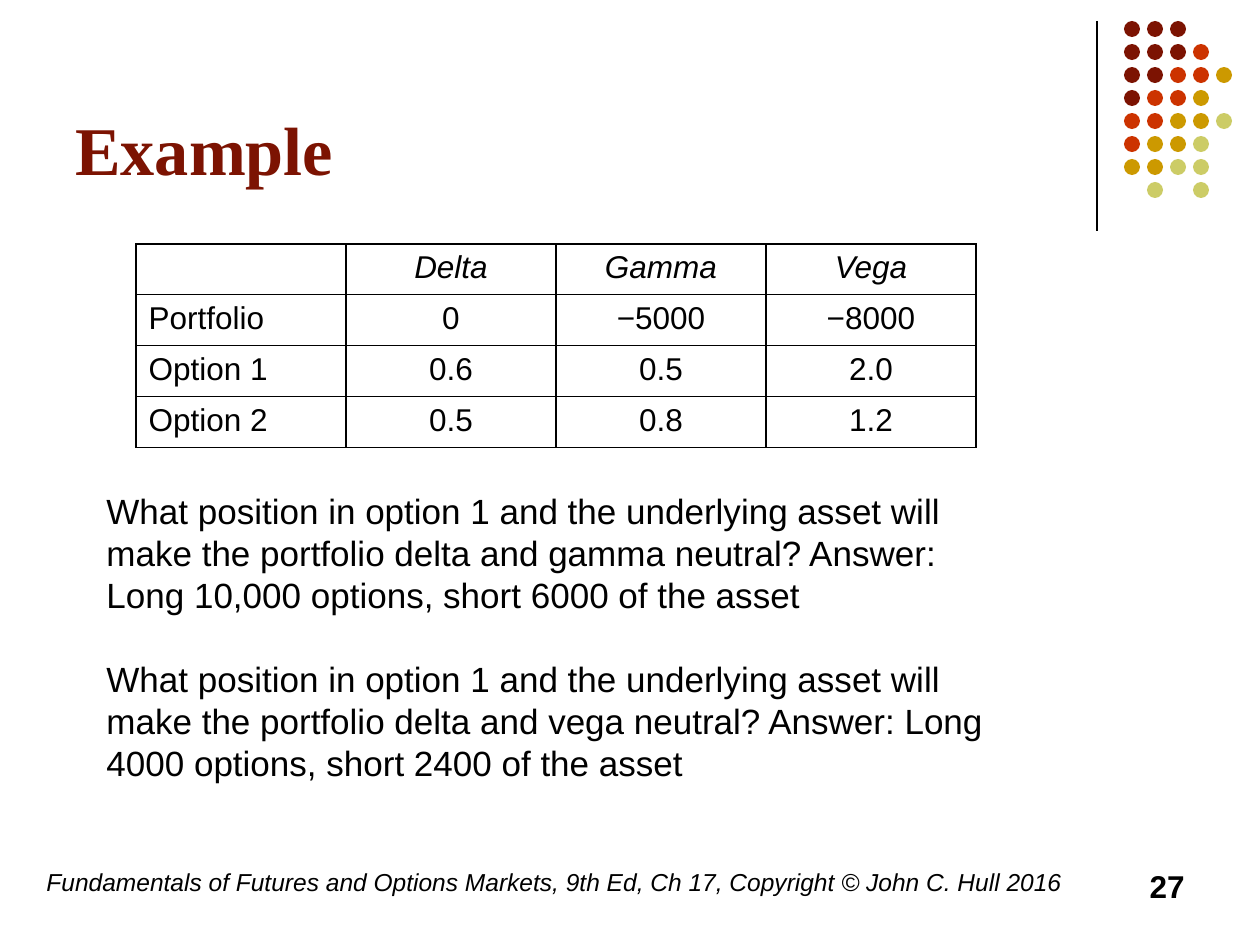
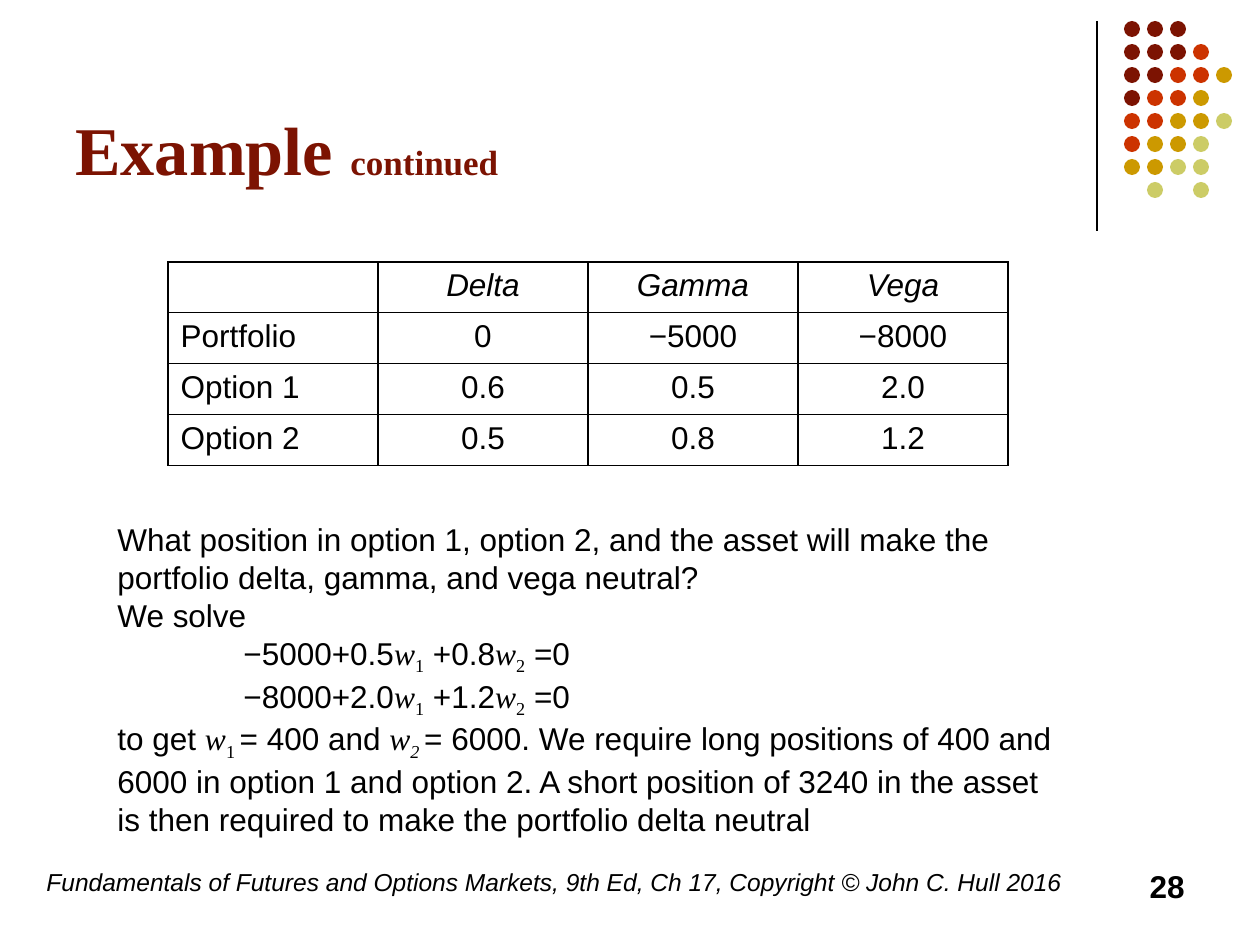
from lxml import etree
from pptx import Presentation
from pptx import util as u
from pptx.dml.color import RGBColor
from pptx.enum import shapes, text
from pptx.oxml import ns

PX = 914400 / 126
SANS, SERIF = "Arial", "Times New Roman"
COLORS = {"ink": "000000", "maroon": "7C1302", "red": "CC3300",
          "gold": "CC9900", "lime": "CCCC66"}
DOT_KEYS = {"m": "maroon", "r": "red", "g": "gold", "l": "lime"}
DOT_ROWS = ["mmm", "mmmr", "mmrrg", "mrrg", "rrggl", "rggl", "ggll", " l l"]
DOT_PITCH, DOT_SIZE = 23, 16
COL_WIDTH, ROW_HEIGHTS = 210, [50, 51, 51, 51]
GREEKS = [
    ["", "Delta", "Gamma", "Vega"],
    ["Portfolio", "0", "−5000", "−8000"],
    ["Option 1", "0.6", "0.5", "2.0"],
    ["Option 2", "0.5", "0.8", "1.2"],
]
FOOTER = ("Fundamentals of Futures and Options Markets, 9th Ed, Ch 17, "
          "Copyright © John C. Hull 2016")
WEIGHT = dict(font=SERIF, italic=True)
SUB = dict(font=SERIF, baseline=-25000)


def px(n):
    return u.Emu(round(n * PX))


def rgb(name):
    return RGBColor.from_string(COLORS[name])


def equation(start, middle):
    """Runs of an equation in w1 and w2 that equals zero."""
    return [(start, {}), ("w", WEIGHT), ("1", SUB),
            (f" {middle}", {}), ("w", WEIGHT), ("2", SUB), (" =0", {})]


class Deck:
    def __init__(self):
        self.prs = Presentation()
        self.prs.slide_width, self.prs.slide_height = px(1260), px(945)
        self.s = None

    def new_slide(self, title_runs, number):
        self.s = self.prs.slides.add_slide(self.prs.slide_layouts[6])
        self.rule(1097, 21, 231)
        self.dots(1124, 21)
        self.text((63, 16, 1040, 179), [title_runs], size=39, font=SERIF,
                  color="maroon", bold=True, anchor=text.MSO_ANCHOR.BOTTOM)
        self.text((34, 861, 1042, 63), [[(FOOTER, {})]], size=14, italic=True)
        self.text((903, 861, 294, 63), [[(str(number), {})]], size=18,
                  bold=True, align=text.PP_ALIGN.RIGHT)

    def rule(self, x, top, bottom):
        line = self.s.shapes.add_connector(
            shapes.MSO_CONNECTOR.STRAIGHT, px(x), px(top), px(x), px(bottom))
        line.line.color.rgb = rgb("ink")
        line.line.width = u.Pt(0.75)
        etree.SubElement(line._element.spPr, ns.qn("a:effectLst"))

    def dots(self, left, top):
        group = self.s.shapes.add_group_shape()
        for i, row in enumerate(DOT_ROWS):
            for j, key in enumerate(row):
                if key == " ":
                    continue
                sp = group.shapes.add_shape(
                    shapes.MSO_SHAPE.OVAL, px(left + j * DOT_PITCH),
                    px(top + i * DOT_PITCH), px(DOT_SIZE), px(DOT_SIZE))
                sp.shadow.inherit = False
                sp.fill.solid()
                sp.fill.fore_color.rgb = rgb(DOT_KEYS[key])
                sp.line.fill.background()

    def run(self, p, words, size=18, font=SANS, color="ink", bold=False,
            italic=False, baseline=0):
        r = p.add_run()
        r.text = words
        r.font.size, r.font.name = u.Pt(size), font
        r.font.bold, r.font.italic = bold, italic
        r.font.color.rgb = rgb(color)
        if baseline:
            r._r.get_or_add_rPr().set("baseline", str(baseline))

    def text(self, box, paragraphs, anchor=text.MSO_ANCHOR.TOP,
             align=text.PP_ALIGN.LEFT, gap=0, indents=(), **style):
        """Paragraphs are lists of (words, style changes); indents maps by index."""
        tf = self.s.shapes.add_textbox(*map(px, box)).text_frame
        tf.word_wrap, tf.vertical_anchor = True, anchor
        for i, runs in enumerate(paragraphs):
            p = tf.add_paragraph() if i else tf.paragraphs[0]
            p.alignment = align
            if i and gap:
                p.space_before = u.Pt(gap)
            if i in indents:
                p._p.get_or_add_pPr().set("marL", str(px(126)))
            for words, changes in runs:
                self.run(p, words, **{**style, **changes})

    def table(self, left, top, rows):
        table = self.s.shapes.add_table(
            len(rows), len(rows[0]), px(left), px(top),
            px(COL_WIDTH * len(rows[0])), px(sum(ROW_HEIGHTS))).table
        table.first_row = table.horz_banding = False
        for col in table.columns:
            col.width = px(COL_WIDTH)
        for i, row in enumerate(rows):
            table.rows[i].height = px(ROW_HEIGHTS[i])
            for j, words in enumerate(row):
                cell = table.cell(i, j)
                self.borders(cell)
                cell.fill.background()
                p = cell.text_frame.paragraphs[0]
                p.alignment = text.PP_ALIGN.CENTER if j else text.PP_ALIGN.LEFT
                if words:
                    self.run(p, words, italic=i == 0)

    def borders(self, cell):
        tc_pr = cell._tc.get_or_add_tcPr()
        for side in "LRTB":
            ln = etree.SubElement(tc_pr, ns.qn(f"a:ln{side}"), w=str(u.Pt(1)))
            fill = etree.SubElement(ln, ns.qn("a:solidFill"))
            etree.SubElement(fill, ns.qn("a:srgbClr"), val=COLORS["ink"])


def main():
    deck = Deck()

    deck.new_slide([("Example", {})], 27)
    deck.table(136, 244, GREEKS)
    deck.text((94, 483, 924, 394), [
        [("What position in option 1 and the underlying asset will make the "
          "portfolio delta and gamma neutral? Answer: Long 10,000 options, "
          "short 6000 of the asset", {})],
        [("What position in option 1 and the underlying asset will make the "
          "portfolio delta and vega neutral? Answer: Long 4000 options, "
          "short 2400 of the asset", {})],
    ], size=20, gap=24)

    deck.new_slide([("Example ", {}), ("continued", dict(size=20))], 28)
    deck.table(168, 262, GREEKS)
    deck.text((105, 514, 976, 318), [
        [("What position in option 1, option 2, and the asset will make the "
          "portfolio delta, gamma, and vega neutral?", {})],
        [("We solve", {})],
        equation("−5000+0.5", "+0.8"),
        equation("−8000+2.0", "+1.2"),
        [("to get ", {}), ("w", WEIGHT), ("1 ", SUB), ("= 400 and ", {}),
         ("w", WEIGHT), ("2 ", {**SUB, "italic": True}),
         ("= 6000. We require long positions of 400 and 6000 in option 1 and "
          "option 2. A short position of 3240 in the asset is then required "
          "to make the portfolio delta neutral", {})],
    ], size=18, indents=(2, 3))

    deck.prs.save("out.pptx")


if __name__ == "__main__":
    main()
